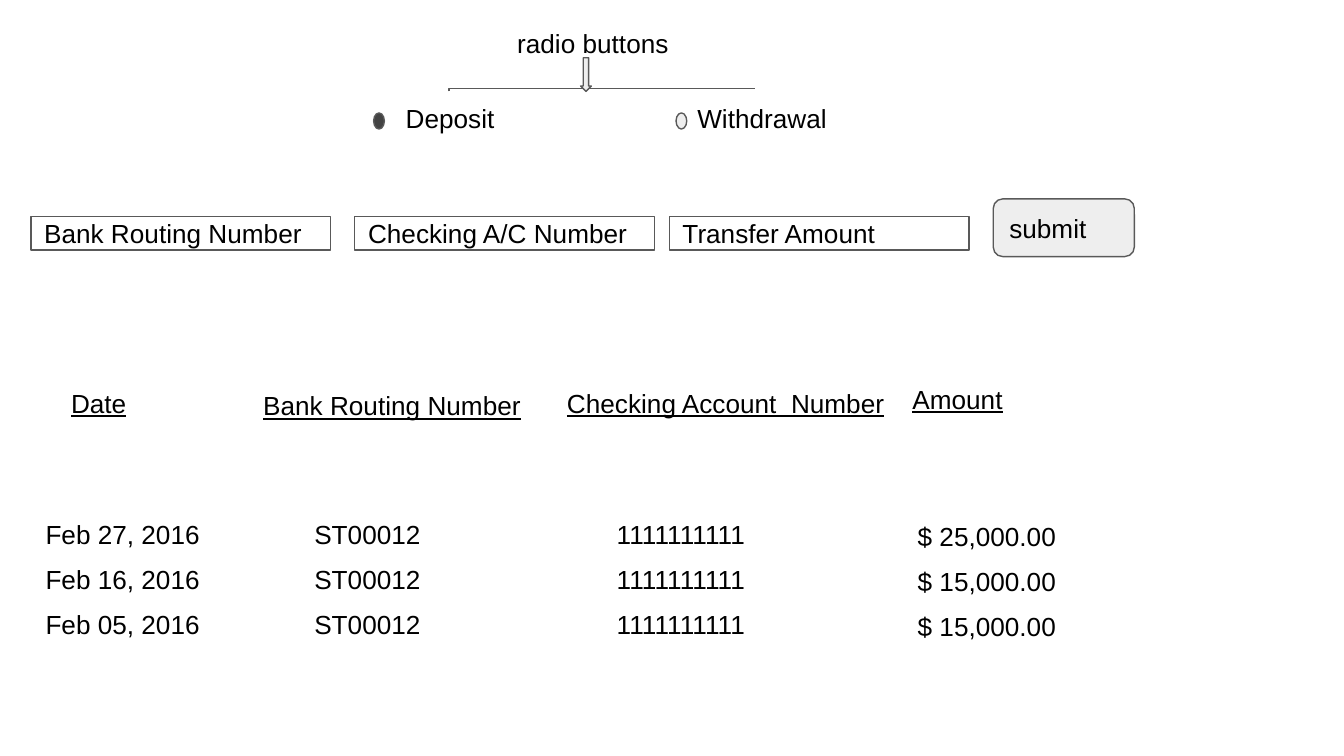
"""Build a bank transfer form mock-up with a list of past transfers."""
from dataclasses import dataclass

from pptx import Presentation
from pptx.dml.color import RGBColor
from pptx.enum import shapes, text
from pptx.util import Inches, Pt


@dataclass(frozen=True)
class Theme:
    font: str = "Arial"
    size: Pt = Pt(14)
    ink: RGBColor = RGBColor(0, 0, 0)
    outline: RGBColor = RGBColor(0x59, 0x59, 0x59)
    outline_width: Pt = Pt(0.75)
    white: RGBColor = RGBColor(255, 255, 255)
    pale: RGBColor = RGBColor(0xEE, 0xEE, 0xEE)
    selected: RGBColor = RGBColor(0x43, 0x43, 0x43)


theme = Theme()
prs = Presentation()
prs.slide_width = Inches(10)
prs.slide_height = prs.slide_width * 9 // 16
slide = prs.slides.add_slide(prs.slide_layouts[6])


def write(shape, words, anchor=text.MSO_ANCHOR.TOP, underline=None):
    frame = shape.text_frame
    frame.word_wrap = True
    frame.vertical_anchor = anchor
    frame.margin_left = frame.margin_right = Inches(0.1)
    frame.margin_top = frame.margin_bottom = Inches(0.1)
    frame.text = words
    paragraph = frame.paragraphs[0]
    paragraph.alignment = text.PP_ALIGN.LEFT
    paragraph.font.name = theme.font
    paragraph.font.size = theme.size
    paragraph.font.color.rgb = theme.ink
    paragraph.font.underline = underline


def draw(kind, left, top, width, height, fill):
    shape = slide.shapes.add_shape(
        kind, Inches(left), Inches(top), Inches(width), Inches(height))
    shape.shadow.inherit = False
    shape.fill.solid()
    shape.fill.fore_color.rgb = fill
    shape.line.color.rgb = theme.outline
    shape.line.width = theme.outline_width
    return shape


labels = [
    ("Deposit", 2.92, 0.66, 1.26, 0.3),
    ("Withdrawal", 5.09, 0.66, 1.26, 0.3),
    ("radio buttons", 3.75, 0.1, 1.7, 0.25),
]
for words, left, top, width, height in labels:
    label = slide.shapes.add_textbox(
        Inches(left), Inches(top), Inches(width), Inches(height))
    write(label, words)

outline = slide.shapes.build_freeform(Inches(3.34), Inches(0.68))
outline.add_line_segments(
    [(Inches(3.34), Inches(0.66)), (Inches(5.62), Inches(0.66))], close=False)
bracket = outline.convert_to_shape()
bracket.shadow.inherit = False
bracket.fill.background()
bracket.line.color.rgb = theme.outline
bracket.line.width = theme.outline_width

for left, fill in [(2.78, theme.selected), (5.03, theme.pale)]:
    draw(shapes.MSO_SHAPE.FLOWCHART_CONNECTOR, left, 0.84, 0.08, 0.12, fill)
draw(shapes.MSO_SHAPE.DOWN_ARROW, 4.32, 0.43, 0.08, 0.25, theme.pale)

fields = [
    ("Bank Routing Number", 0.23),
    ("Checking A/C Number", 2.64),
    ("Transfer Amount", 4.98),
]
for words, left in fields:
    field = draw(shapes.MSO_SHAPE.FLOWCHART_PROCESS,
                 left, 1.61, 2.23, 0.25, theme.white)
    write(field, words, text.MSO_ANCHOR.MIDDLE)

submit = draw(shapes.MSO_SHAPE.ROUNDED_RECTANGLE, 7.39, 1.48, 1.05, 0.43, theme.pale)
write(submit, "submit", text.MSO_ANCHOR.MIDDLE)

headings = [
    ("Bank Routing Number", 1.86, 2.8, 2.36, 0.36),
    ("Checking Account  Number", 4.12, 2.78, 2.75, 0.36),
    ("Amount", 6.69, 2.75, 1.85, 0.43),
    ("Date", 0.43, 2.78, 1.05, 0.36),
]
for words, left, top, width, height in headings:
    heading = slide.shapes.add_textbox(
        Inches(left), Inches(top), Inches(width), Inches(height))
    write(heading, words, underline=True)

row_pitch = 0.67 / 2
columns = [
    (0.24, 3.76, 1.58, 0.43, ["Feb 27, 2016", "Feb 16, 2016", "Feb 05, 2016"]),
    (2.24, 3.76, 1.05, 0.43, ["ST00012"] * 3),
    (4.49, 3.76, 1.58, 0.43, ["1111111111"] * 3),
    (6.73, 3.77, 1.47, 0.3, ["$ 25,000.00", "$ 15,000.00", "$ 15,000.00"]),
]
for left, top, width, height, entries in columns:
    for row, words in enumerate(entries):
        entry = slide.shapes.add_textbox(
            Inches(left), Inches(top + row * row_pitch), Inches(width), Inches(height))
        write(entry, words)

prs.save("out.pptx")
